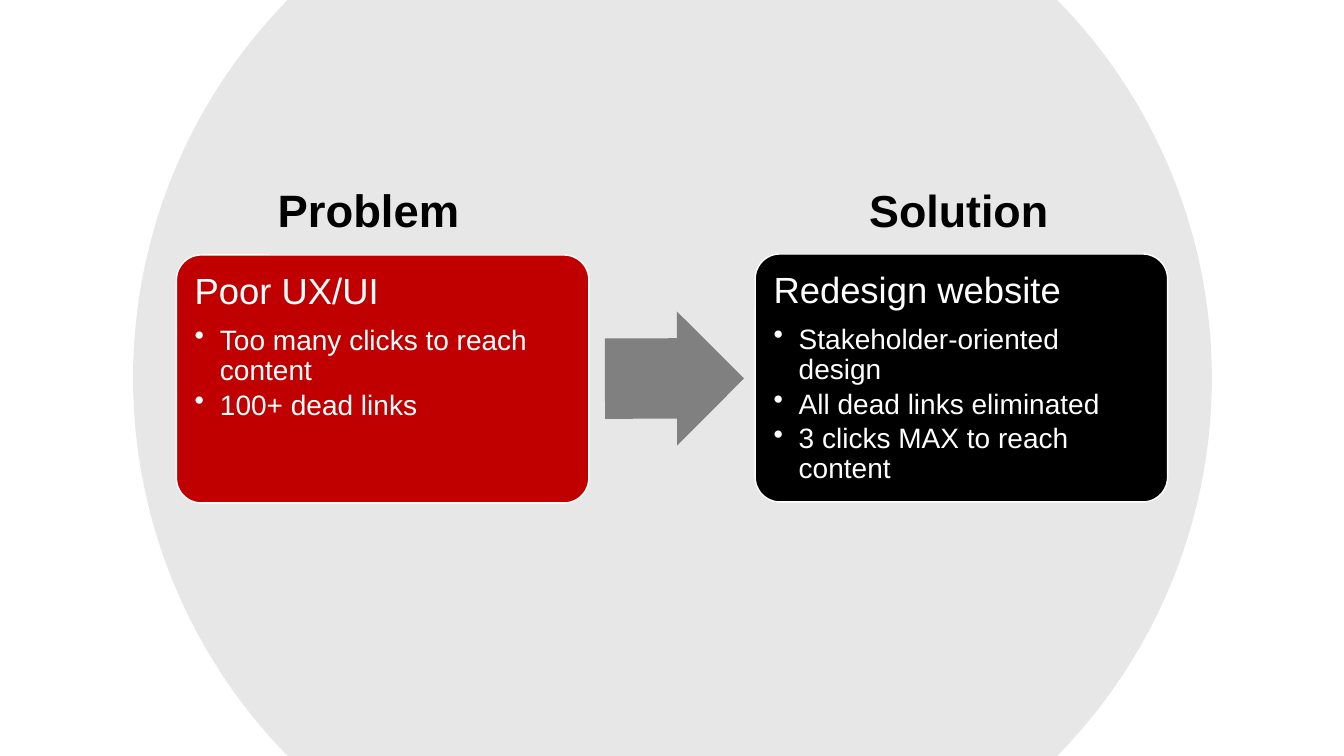
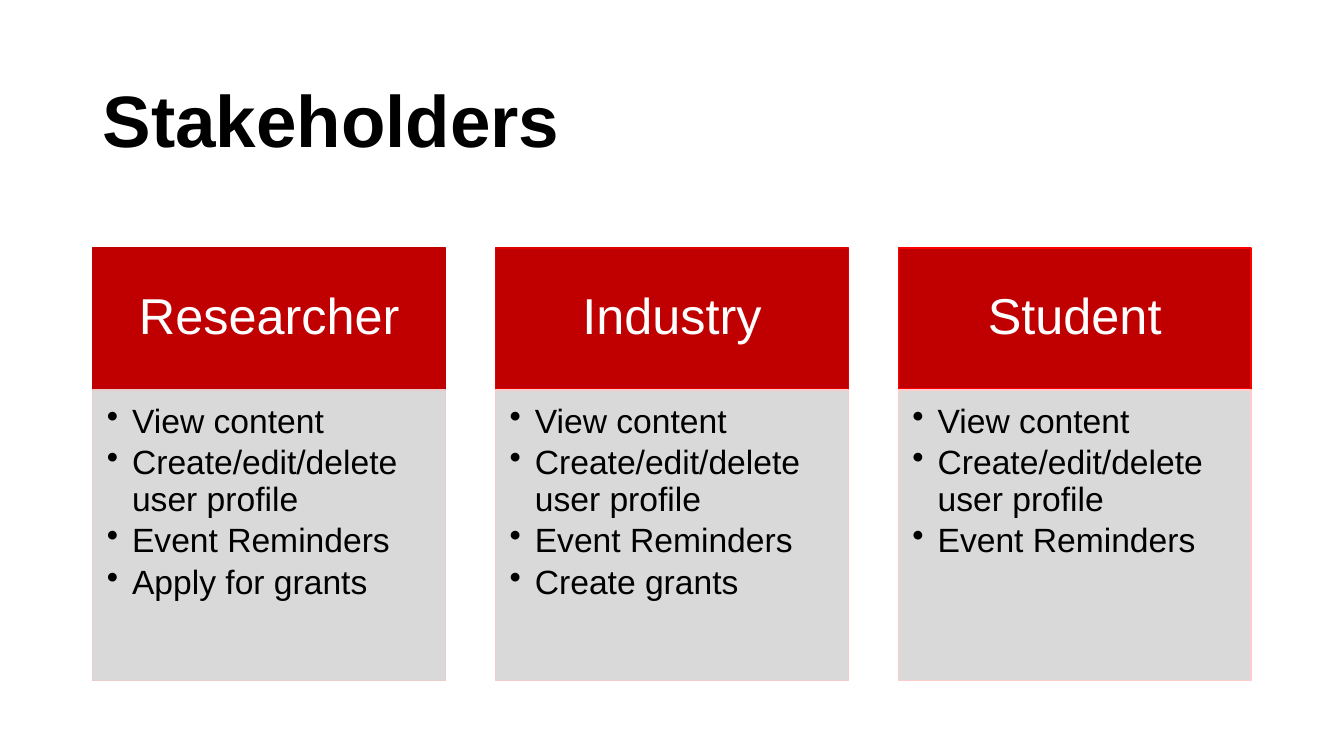
import math

from lxml import etree
from pptx import Presentation
from pptx.dml.color import RGBColor
from pptx.enum import shapes, text
from pptx.oxml import ns
from pptx.util import Inches, Pt

RED = RGBColor(0xC0, 0x00, 0x00)
BLACK = RGBColor(0x00, 0x00, 0x00)
WHITE = RGBColor(0xFF, 0xFF, 0xFF)
ARROW_GRAY = RGBColor(0x80, 0x80, 0x80)
PANEL_GRAY = RGBColor(0xD9, 0xD9, 0xD9)
CIRCLE_GRAY = RGBColor(0xE7, 0xE7, 0xE7)
FONT = "Arial"
SHAPE = shapes.MSO_SHAPE
MIDDLE = text.MSO_ANCHOR.MIDDLE
TOP = text.MSO_ANCHOR.TOP
LEFT = text.PP_ALIGN.LEFT
CENTER = text.PP_ALIGN.CENTER


def add_box(slide, bounds, preset=None, fill=None, line=None, margins=(0.1, 0.05, 0.1, 0.05), anchor=MIDDLE):
    place = [Inches(value) for value in bounds]
    if preset is None:
        box = slide.shapes.add_textbox(*place)
    else:
        box = slide.shapes.add_shape(preset, *place)
        box.shadow.inherit = False
        box.fill.solid()
        box.fill.fore_color.rgb = fill
        if line is None:
            box.line.fill.background()
        else:
            box.line.color.rgb = line
            box.line.width = Pt(1)
    frame = box.text_frame
    frame.word_wrap = True
    frame.vertical_anchor = anchor
    frame.margin_left, frame.margin_top, frame.margin_right, frame.margin_bottom = map(Inches, margins)
    return box


def write(box, words, size, color=BLACK, bold=False, align=LEFT, bullet=False, after=0):
    frame = box.text_frame
    para = frame.add_paragraph() if frame.text else frame.paragraphs[0]
    para.alignment = align
    para.line_spacing = 0.9
    para.space_after = Pt(after)
    if bullet:
        props = para._p.get_or_add_pPr()
        props.set("marL", str(Inches(0.25)))
        props.set("indent", str(Inches(-0.25)))
        etree.SubElement(props, ns.qn("a:buChar"), char="•")
    span = para.add_run()
    span.text = words
    span.font.name = FONT
    span.font.size = Pt(size)
    span.font.bold = bold
    span.font.color.rgb = color


deck = Presentation()
deck.slide_width = Inches(13.33)
deck.slide_height = Inches(7.5)
blank = deck.slide_layouts[6]

page = deck.slides.add_slide(blank)
center_x, center_y, radius = 6.67, 3.75, 5.35
reach = math.asin(center_y / radius)
steps = 60
points = []
for start in (-reach, math.pi - reach):
    for step in range(steps + 1):
        angle = start + 2 * reach * step / steps
        points.append((Inches(center_x + radius * math.cos(angle)), Inches(center_y + radius * math.sin(angle))))
builder = page.shapes.build_freeform(*points[0])
builder.add_line_segments(points[1:], close=True)
circle = builder.convert_to_shape()
circle.shadow.inherit = False
circle.fill.solid()
circle.fill.fore_color.rgb = CIRCLE_GRAY
circle.line.fill.background()

cards = [
    ("Problem", 32.4, (2.6, 1.6, 2.11, 1.02), (1.75, 2.53), RED, "Poor UX/UI",
     ["Too many clicks to reach content", "100+ dead links"]),
    ("Solution", 32, (8.5, 1.6, 2.02, 1.02), (7.49, 2.52), BLACK, "Redesign website",
     ["Stakeholder-oriented design", "All dead links eliminated", "3 clicks MAX to reach content"]),
]
for title, size, title_bounds, corner, fill, heading, points_made in cards:
    write(add_box(page, title_bounds), title, size, bold=True, align=CENTER)
    card = add_box(page, (*corner, 4.09, 2.46), SHAPE.ROUNDED_RECTANGLE, fill, WHITE, (0.11,) * 4, TOP)
    card.adjustments[0] = 0.1
    write(card, heading, 26, WHITE, after=9.5)
    for item in points_made:
        write(card, item, 20, WHITE, bullet=True, after=3.2)

arrow = add_box(page, (6, 3.09, 1.38, 1.33), SHAPE.RIGHT_ARROW, ARROW_GRAY)
arrow.adjustments[0] = 0.6
arrow.adjustments[1] = 0.5
arrow.rotation = 359.9

page = deck.slides.add_slide(blank)
write(add_box(page, (0.92, 0.61, 11.5, 1.24)), "Stakeholders", 52, bold=True)

shared_needs = ["View content", "Create/edit/delete user profile", "Event Reminders"]
columns = [
    ("Researcher", ["Apply for grants"], RED, RGBColor(0xE8, 0xCC, 0xCC)),
    ("Industry", ["Create grants"], RGBColor(0xE0, 0x00, 0x00), RGBColor(0xF5, 0xCB, 0xCB)),
    ("Student", [], RGBColor(0xFF, 0x00, 0x00), RGBColor(0xFF, 0xCC, 0xCC)),
]
column_width = 3.5
column_step = (11.49 - column_width) / (len(columns) - 1)
for index, (role, own_needs, header_line, panel_line) in enumerate(columns):
    left = 0.92 + index * column_step
    header = add_box(page, (left, 2.46, column_width, 1.4), SHAPE.RECTANGLE, RED, header_line,
                     (0.28, 0.16, 0.28, 0.16))
    write(header, role, 36, WHITE, align=CENTER)
    panel = add_box(page, (left, 3.87, column_width, 2.88), SHAPE.RECTANGLE, PANEL_GRAY, panel_line,
                    (0.14, 0.14, 0.19, 0.21), TOP)
    for need in shared_needs + own_needs:
        write(panel, need, 24, bullet=True, after=3.8)

deck.save("out.pptx")
